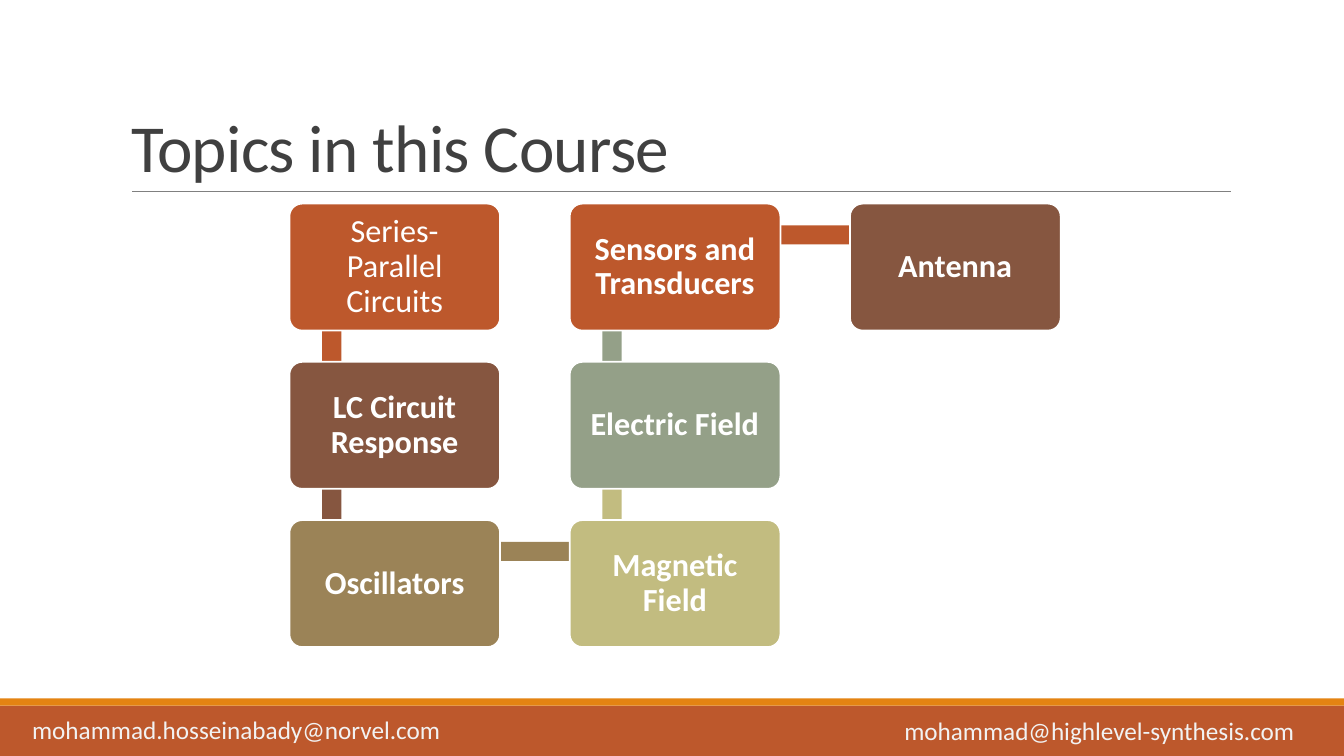
import math
from dataclasses import dataclass

import pptx
import pptx.dml.color
import pptx.enum.shapes
import pptx.enum.text
import pptx.oxml.ns
import pptx.util
from lxml import etree

Inches = pptx.util.Inches
Pt = pptx.util.Pt
Kind = pptx.enum.shapes.MSO_SHAPE
Anchor = pptx.enum.text.MSO_ANCHOR
Align = pptx.enum.text.PP_ALIGN

FONT = "Calibri"
RUST, BROWN, ORANGE = "BD582C", "865640", "E48312"
TAN, OLIVE, SAGE = "9B8357", "C2BC80", "94A088"

# Topic grid, in inches
LEFT, TOP = 2.87, 2.02
STEP_X, STEP_Y = 2.78, 1.57
BOX_W, BOX_H = 2.09, 1.26
BAR_X, BAR_Y, BAR_H = 0.42, 0.31, 0.19


@dataclass
class Topic:
    text: str
    col: int
    row: int
    color: str
    bold: bool = True

    @property
    def left(self) -> float:
        return LEFT + self.col * STEP_X

    @property
    def top(self) -> float:
        return TOP + self.row * STEP_Y


@dataclass
class Email:
    text: str
    left: float
    top: float
    width: float


TOPICS = [
    Topic("Series-Parallel Circuits", 0, 0, RUST, False),
    Topic("LC Circuit Response", 0, 1, BROWN),
    Topic("Oscillators", 0, 2, TAN),
    Topic("Magnetic Field", 1, 2, OLIVE),
    Topic("Electric Field", 1, 1, SAGE),
    Topic("Sensors and Transducers", 1, 0, RUST),
    Topic("Antenna", 2, 0, BROWN),
]
EMAILS = [
    Email("mohammad@highlevel-synthesis.com", 8.87, 7.05, 4.21),
    Email("mohammad.hosseinabady@norvel.com", 0.22, 7.04, 4.87),
]


def rgb(color: str):
    return pptx.dml.color.RGBColor.from_string(color)


def add_run(para, text: str, size: float, color: str, bold: bool = False):
    run = para.add_run()
    run.text = text
    font = run.font
    font.name, font.size, font.bold = FONT, Pt(size), bold
    font.color.rgb = rgb(color)
    return run


def add_block(slide, kind, left: float, top: float, width: float,
              height: float, color: str):
    block = slide.shapes.add_shape(
        kind, Inches(left), Inches(top), Inches(width), Inches(height))
    block.shadow.inherit = False
    block.fill.solid()
    block.fill.fore_color.rgb = rgb(color)
    block.line.fill.background()
    return block


def add_bar(slide, start: Topic, end: Topic) -> None:
    dx, dy = end.left - start.left, end.top - start.top
    size = math.hypot(dx, dy)
    mid_x = start.left + BAR_X + dx / 2
    mid_y = start.top + BAR_Y + dy / 2
    bar = add_block(slide, Kind.RECTANGLE, mid_x - size / 2,
                    mid_y - BAR_H / 2, size, BAR_H, start.color)
    bar.rotation = math.degrees(math.atan2(dy, dx)) % 360


def add_topic(slide, topic: Topic) -> None:
    box = add_block(slide, Kind.ROUNDED_RECTANGLE, topic.left, topic.top,
                    BOX_W, BOX_H, topic.color)
    box.adjustments[0] = 0.1
    box.line.color.rgb = rgb("FFFFFF")
    box.line.width = Pt(1.25)
    frame = box.text_frame
    frame.word_wrap = True
    frame.vertical_anchor = Anchor.MIDDLE
    frame.margin_left = frame.margin_right = Inches(0.12)
    frame.margin_top = frame.margin_bottom = Inches(0.12)
    para = frame.paragraphs[0]
    para.alignment = Align.CENTER
    para.line_spacing = 0.9
    add_run(para, topic.text, 23, "FFFFFF", topic.bold)


def add_email(slide, email: Email) -> None:
    box = slide.shapes.add_textbox(Inches(email.left), Inches(email.top),
                                   Inches(email.width), Inches(0.4))
    box.text_frame.word_wrap = True
    add_run(box.text_frame.paragraphs[0], email.text, 18, "F2F2F2")


def add_rule(slide) -> None:
    rule = slide.shapes.add_connector(
        pptx.enum.shapes.MSO_CONNECTOR.STRAIGHT,
        Inches(1.31), Inches(1.9), Inches(12.21), Inches(1.9))
    rule.line.color.rgb = rgb("808080")
    rule.line.width = Pt(0.5)
    etree.SubElement(rule._element.spPr, pptx.oxml.ns.qn("a:effectLst"))


def set_title(slide, text: str) -> None:
    title = slide.shapes.title
    title.left, title.top = Inches(1.2), Inches(0.31)
    title.width, title.height = Inches(11), Inches(1.59)
    frame = title.text_frame
    frame.word_wrap = True
    frame.auto_size = pptx.enum.text.MSO_AUTO_SIZE.NONE
    frame.vertical_anchor = Anchor.BOTTOM
    para = frame.paragraphs[0]
    para.alignment = Align.LEFT
    para.line_spacing = 0.85
    run = add_run(para, text, 48, "404040")
    run._r.get_or_add_rPr().set("spc", "-50")


def main() -> None:
    deck = pptx.Presentation()
    deck.slide_width, deck.slide_height = Inches(13.33), Inches(7.5)
    slide = deck.slides.add_slide(deck.slide_layouts[5])

    # Footer band and title
    add_block(slide, Kind.RECTANGLE, 0, 7, 13.33, 0.5, RUST)
    add_block(slide, Kind.RECTANGLE, 0, 6.93, 13.33, 0.07, ORANGE)
    add_rule(slide)
    for email in EMAILS:
        add_email(slide, email)
    set_title(slide, "Topics in this Course")

    # Chain of topics, bars behind boxes
    for start, end in zip(TOPICS, TOPICS[1:]):
        add_bar(slide, start, end)
    for topic in TOPICS:
        add_topic(slide, topic)

    deck.save("out.pptx")


if __name__ == "__main__":
    main()
